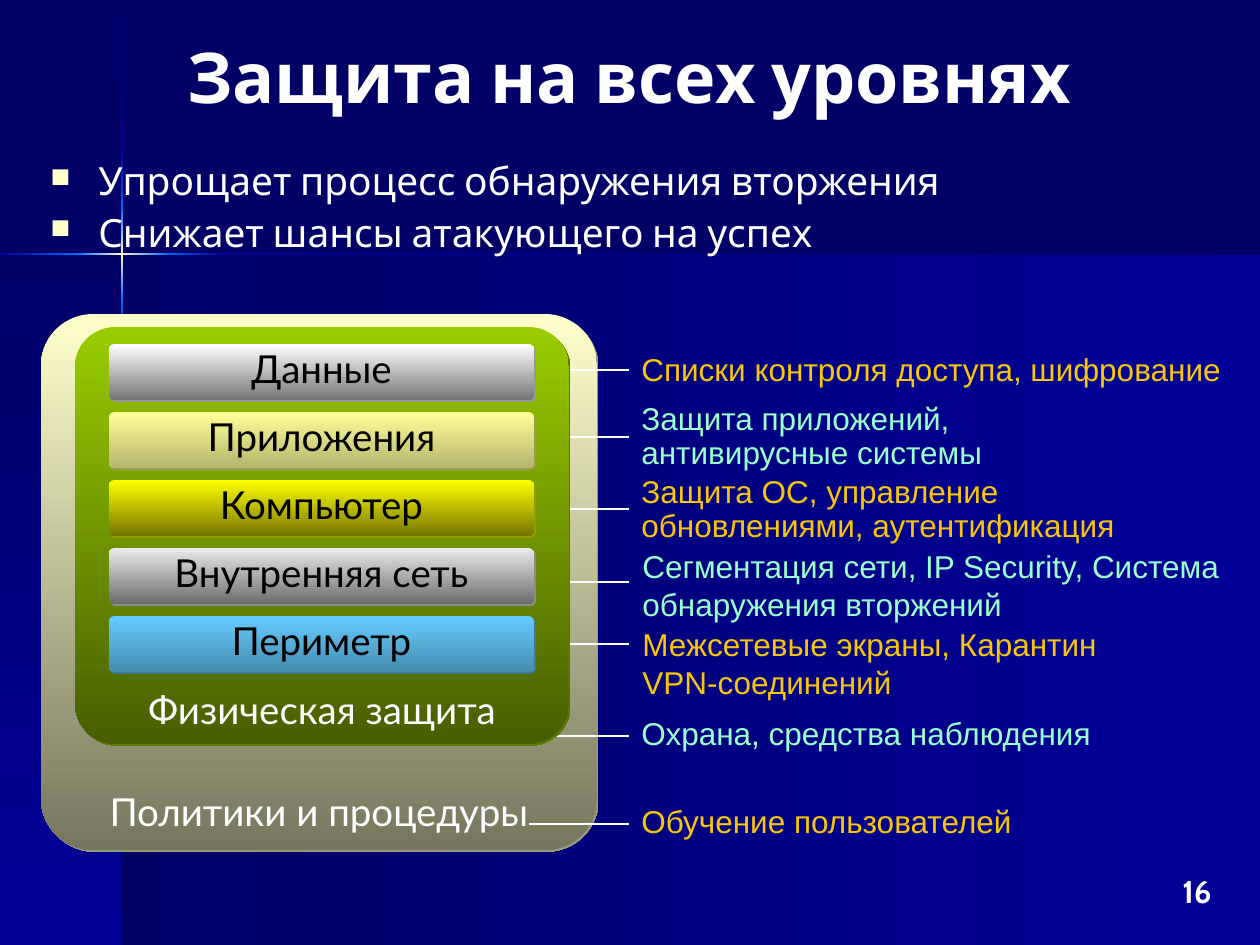
import itertools
import pptx
import pptx.util
import pptx.dml.color
import pptx.oxml
import pptx.oxml.ns
from pptx.enum.shapes import MSO_CONNECTOR, MSO_SHAPE
from pptx.enum.text import MSO_ANCHOR, PP_ALIGN

PX = 914400 // 126
WIDTH, HEIGHT = 1260, 945
WHITE, BLACK, CREAM = "FFFFFF", "000000", "FFFFCC"
NAVY, BLUE, BRIGHT = "000066", "000099", "0066FF"
AMBER, MINT = "F8C508", "99FFCC"

TITLE = "Защита на всех уровнях"
BENEFITS = ["Упрощает процесс обнаружения вторжения", "Снижает шансы атакующего на успех"]
PAGE_NUMBER = "16"

# position along the strip, colour there
VERTICAL_GLOW = [(1, NAVY), (152, BLUE), (208, BRIGHT), (254, CREAM),
                 (300, BRIGHT), (355, BLUE), (HEIGHT, NAVY)]
HORIZONTAL_GLOW = [(0, BLUE), (76, BRIGHT), (122, CREAM),
                   (168, BRIGHT), (223, BLUE), (WIDTH, NAVY)]

# text, top colour, bottom colour, shadow colour
POLICIES = ("Политики и процедуры", "FFFFCC", "76765E", "99997A")
PHYSICAL = ("Физическая защита", "99CC00", "475E00", "5C7A00")
LAYERS = [
    ("Данные", "FFFFFF", "767676", "999999"),
    ("Приложения", "FFFF99", "B6B66D", "99995C"),
    ("Компьютер", "FFFF00", "767600", "999900"),
    ("Внутренняя сеть", "EAEAEA", "6C6C6C", "8C8C8C"),
    ("Периметр", "66CCFF", "468CAF", "3D7A99"),
]
LAYER_TOP, LAYER_STEP = 344, 68

# lines of text, (left, top, width, height), line spacing, leader start x, leader y
MEASURES = [
    (["Списки контроля доступа, шифрование"], (629, 344, 610, 50), 1, 510, 370),
    (["Защита приложений, антивирусные системы"], (629, 397, 544, 81), 0.9, 510, 437),
    (["Защита ОС, управление обновлениями, аутентификация"],
     (629, 470, 605, 81), 0.9, 510, 509),
    (["Сегментация сети, IP Security, Система обнаружения вторжений"],
     (630, 541, 611, 88), 1, 510, 582),
    (["Межсетевые экраны, Карантин ", "VPN-соединений"], (630, 619, 602, 88), 1, 510, 644),
    (["Охрана, средства наблюдения"], (629, 708, 577, 50), 1, 510, 736),
    (["Обучение пользователей"], (629, 796, 401, 50), 1, 529, 824),
]
LEADER_END = 629

deck = pptx.Presentation()
deck.slide_width, deck.slide_height = WIDTH * PX, HEIGHT * PX
page = deck.slides.add_slide(deck.slide_layouts[6])


def rgb(color):
    return pptx.dml.color.RGBColor.from_string(color)


def emu(*lengths):
    return [length * PX for length in lengths]


def xml(tag, attributes, inner=""):
    namespace = pptx.oxml.ns.nsdecls("a")
    return pptx.oxml.parse_xml(f"<a:{tag} {namespace} {attributes}>{inner}</a:{tag}>")


def add_gradient(kind, frame, start, end, down=True):
    shape = page.shapes.add_shape(kind, *emu(*frame))
    shape.shadow.inherit = False
    shape.line.fill.background()
    shape.fill.gradient()
    shape.fill.gradient_angle = 270 if down else 0
    for stop, color in zip(shape.fill.gradient_stops, (start, end)):
        stop.color.rgb = rgb(color)
    return shape


def add_run(para, text, size, font, color, bold=False):
    run = para.add_run()
    run.text = text
    run.font.size = pptx.util.Pt(size)
    run.font.name = font
    run.font.color.rgb = rgb(color)
    run.font.bold = bold


def add_text_box(frame, wrap=True, anchor=MSO_ANCHOR.TOP):
    text_frame = page.shapes.add_textbox(*emu(*frame)).text_frame
    text_frame.word_wrap = wrap
    text_frame.vertical_anchor = anchor
    return text_frame


def add_block(frame, layer, anchor):
    """Rounded block with a gradient, a hard offset shadow and a caption."""
    caption, top_color, bottom_color, shadow_color = layer
    block = add_gradient(MSO_SHAPE.ROUNDED_RECTANGLE, frame, top_color, bottom_color)
    block.adjustments[0] = 0.097
    effects = block._element.spPr.find(pptx.oxml.ns.qn("a:effectLst"))
    effects.append(xml("outerShdw", 'dist="17780" dir="2700000" algn="ctr" rotWithShape="0"',
                       f'<a:srgbClr val="{shadow_color}"/>'))
    text_frame = block.text_frame
    text_frame.word_wrap = True
    text_frame.vertical_anchor = anchor
    text_frame.margin_top = text_frame.margin_bottom = 0
    para = text_frame.paragraphs[0]
    para.alignment = PP_ALIGN.CENTER
    para.line_spacing = 0.85
    add_run(para, caption, 22, "Lato", BLACK if anchor == MSO_ANCHOR.MIDDLE else WHITE)


def add_background():
    fill = page.background.fill
    fill.solid()
    fill.fore_color.rgb = rgb(NAVY)
    rectangle = MSO_SHAPE.RECTANGLE
    add_gradient(rectangle, (122, 254, WIDTH - 122, HEIGHT - 254), NAVY, BLUE, down=False)
    add_gradient(rectangle, (0, 254, 122, HEIGHT - 254), NAVY, BLUE)
    for (start, first), (end, last) in itertools.pairwise(VERTICAL_GLOW):
        add_gradient(rectangle, (121, start, 2, end - start), first, last)
    for (start, first), (end, last) in itertools.pairwise(HORIZONTAL_GLOW):
        add_gradient(rectangle, (start, 253, end - start, 2), first, last, down=False)


def add_benefits():
    text_frame = add_text_box((38, 156, 1183, 118))
    for index, benefit in enumerate(BENEFITS):
        para = text_frame.add_paragraph() if index else text_frame.paragraphs[0]
        para.line_spacing = 0.9
        para.space_before = pptx.util.Pt(5.4)
        properties = para._p.get_or_add_pPr()
        properties.set("marL", str(48 * PX))
        properties.set("indent", str(-48 * PX))
        properties.append(xml("buClr", "", f'<a:srgbClr val="{CREAM}"/>'))
        properties.append(xml("buSzPct", 'val="70000"'))
        properties.append(xml("buChar", 'char="■"'))
        add_run(para, benefit, 22.2, "Cabin", WHITE)


def add_measures():
    for index, (lines, frame, spacing, leader_start, leader_y) in enumerate(MEASURES):
        para = add_text_box(frame).paragraphs[0]
        para.line_spacing = spacing
        for number, line in enumerate(lines):
            if number:
                para.add_line_break()
            add_run(para, line, 18, "Arial", MINT if index % 2 else AMBER)
        leader = page.shapes.add_connector(
            MSO_CONNECTOR.STRAIGHT, *emu(leader_start, leader_y, LEADER_END, leader_y))
        leader.line.color.rgb = rgb(WHITE)
        leader.line.width = pptx.util.Pt(1)
        leader._element.spPr.append(xml("effectLst", ""))


add_background()
title = add_text_box((18, 18, 1222, 115), anchor=MSO_ANCHOR.MIDDLE).paragraphs[0]
title.alignment = PP_ALIGN.CENTER
add_run(title, TITLE, 40, "Cabin", WHITE, bold=True)
add_benefits()
add_block((41, 314, 556, 536), POLICIES, MSO_ANCHOR.BOTTOM)
add_measures()
add_block((75, 327, 494, 417), PHYSICAL, MSO_ANCHOR.BOTTOM)
for index, layer in enumerate(LAYERS):
    add_block((109, LAYER_TOP + index * LAYER_STEP, 425, 56), layer, MSO_ANCHOR.MIDDLE)
number = add_text_box((1167, 866, 60, 50), wrap=False).paragraphs[0]
number.alignment = PP_ALIGN.CENTER
add_run(number, PAGE_NUMBER, 18, "Cabin", WHITE, bold=True)
deck.save("out.pptx")
